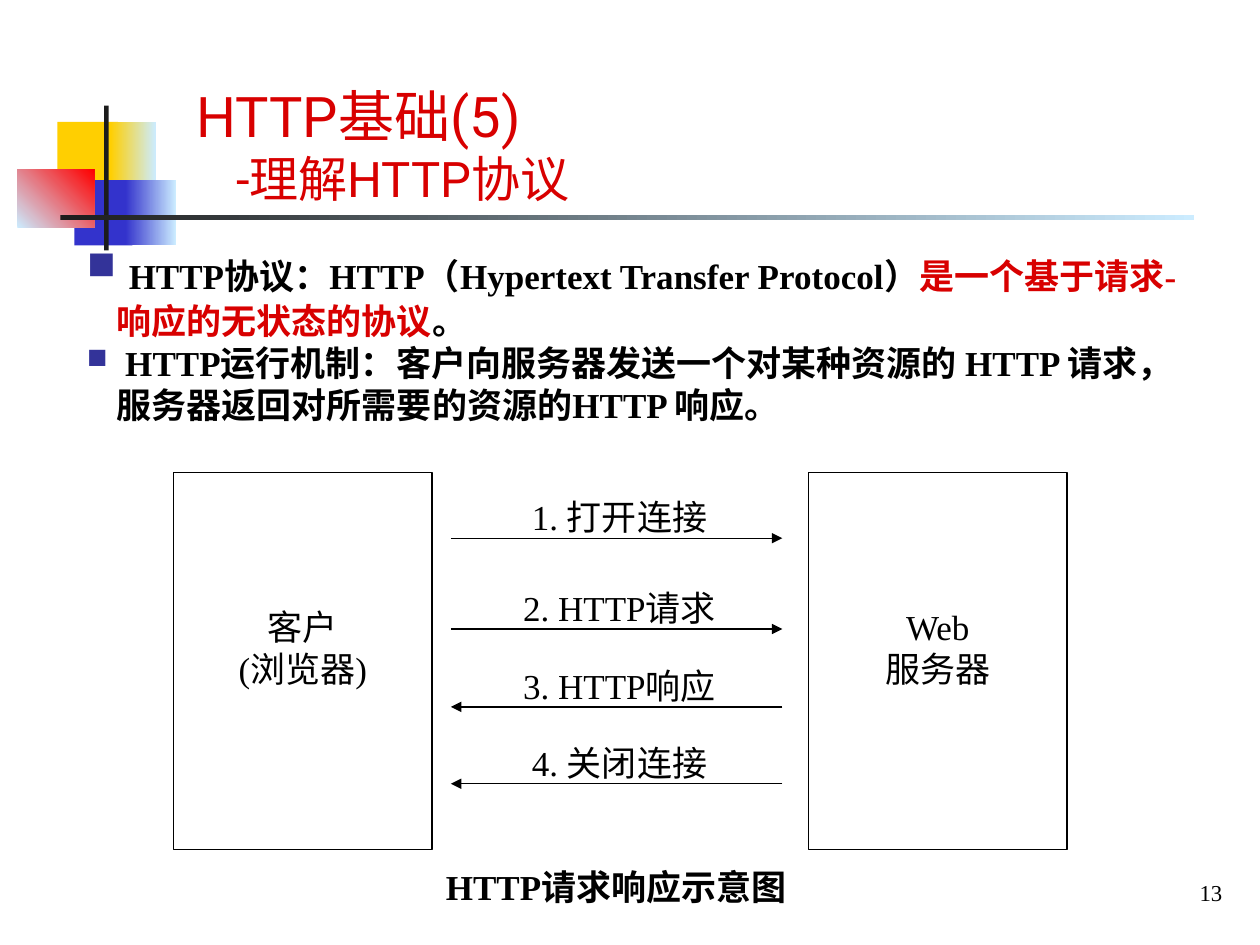
from lxml.etree import SubElement
from pptx import Presentation
from pptx.dml.color import RGBColor
from pptx.enum.shapes import MSO_CONNECTOR, MSO_SHAPE
from pptx.enum.text import MSO_ANCHOR, PP_ALIGN
from pptx.oxml.ns import qn
from pptx.util import Cm, Pt

BLACK = RGBColor(0x00, 0x00, 0x00)
WHITE = RGBColor(0xFF, 0xFF, 0xFF)
RED = RGBColor(0xD8, 0x00, 0x00)
YELLOW = RGBColor(0xFF, 0xCF, 0x01)
BLUE = RGBColor(0x33, 0x33, 0xCC)
BRIGHT_RED = RGBColor(0xFF, 0x00, 0x00)
PALE = RGBColor(0xCC, 0xEC, 0xFF)
CHARCOAL = RGBColor(0x1C, 0x1C, 0x1C)
BULLET = RGBColor(0x33, 0x33, 0x99)
SERIF = dict(name="Times New Roman", size=Pt(20))
BOLD = dict(SERIF, bold=True)


def add_run(p, text, color=BLACK, **fmt):
    """Append a run with the given colour and font values."""
    r = p.add_run()
    r.text = text
    r.font.color.rgb = color
    for key, value in fmt.items():
        setattr(r.font, key, value)


def set_frame(tf, **fmt):
    """Set wrapping, insets and anchor of a text frame."""
    values = dict(word_wrap=True, margin_left=Cm(0.25), margin_right=Cm(0.25),
                  margin_top=Cm(0.13), margin_bottom=Cm(0.13),
                  vertical_anchor=MSO_ANCHOR.TOP)
    for key, value in (values | fmt).items():
        setattr(tf, key, value)


def add_label(s, x, y, w, h, text, align=PP_ALIGN.CENTER, frame=None, **font):
    """Add a one-paragraph text box."""
    tf = s.shapes.add_textbox(Cm(x), Cm(y), Cm(w), Cm(h)).text_frame
    set_frame(tf, **(frame or {}))
    p = tf.paragraphs[0]
    p.alignment = align
    add_run(p, text, **(SERIF | font))


def add_rect(s, x, y, w, h, colors, angle=0):
    """Add a borderless rectangle with a solid or two-colour fill."""
    sp = s.shapes.add_shape(MSO_SHAPE.RECTANGLE, Cm(x), Cm(y), Cm(w), Cm(h))
    sp.shadow.inherit = False
    sp.line.fill.background()
    if len(colors) == 1:
        sp.fill.solid()
        sp.fill.fore_color.rgb = colors[0]
    else:
        sp.fill.gradient()
        sp.fill.gradient_angle = angle
        for stop, color in zip(sp.fill.gradient_stops, colors):
            stop.color.rgb = color
    return sp


def add_ornament(s, x, y):
    """Draw the coloured squares and crossing bars."""
    for dx, dy, w, h, colors, angle in (
        (0.81, 0.33, 1.22, 1.32, [YELLOW], 0),
        (1.88, 0.33, 0.91, 1.32, [YELLOW, PALE], 0),
        (1.15, 1.5, 1.17, 1.32, [BLUE], 0),
        (2.18, 1.5, 1.02, 1.32, [BLUE, PALE], 0),
        (0, 1.29, 1.55, 1.17, [PALE, BRIGHT_RED], 45),
        (1.75, 0, 0.09, 2.92, [CHARCOAL], 0),
        (0.87, 2.21, 22.86, 0.09, [CHARCOAL, PALE], 0),
    ):
        add_rect(s, x + dx, y + dy, w, h, colors, angle)


def add_title(s, x, y, w, h):
    """Write the heading and its indented second line."""
    tf = s.shapes.add_textbox(Cm(x), Cm(y), Cm(w), Cm(h)).text_frame
    set_frame(tf, vertical_anchor=MSO_ANCHOR.BOTTOM)
    add_run(tf.paragraphs[0], "HTTP基础(5)", RED, name="Roboto", size=Pt(32))
    p = tf.add_paragraph()
    p._p.get_or_add_pPr().set("marL", str(Cm(0.8)))
    add_run(p, "-理解HTTP协议", RED, name="Roboto", size=Pt(28))


def add_bullet(p):
    """Give a paragraph a square bullet with a hanging indent."""
    pPr = p._p.get_or_add_pPr()
    pPr.set("marL", str(Cm(0.6)))
    pPr.set("indent", str(-Cm(0.6)))
    SubElement(SubElement(pPr, qn("a:buClr")), qn("a:srgbClr"), val=str(BULLET))
    SubElement(pPr, qn("a:buSzPct"), val="80000")
    SubElement(pPr, qn("a:buChar"), char="■")


def add_body(s, x, y, w, h):
    """Write the two bulleted statements."""
    tf = s.shapes.add_textbox(Cm(x), Cm(y), Cm(w), Cm(h)).text_frame
    set_frame(tf)
    p = tf.paragraphs[0]
    add_bullet(p)
    add_run(p, " ", **(BOLD | dict(size=Pt(28))))
    add_run(p, "HTTP协议：HTTP（Hypertext Transfer Protocol）", **BOLD)
    add_run(p, "是一个基于请求-响应的无状态的协议", RED, **BOLD)
    add_run(p, "。", **BOLD)
    p = tf.add_paragraph()
    add_bullet(p)
    add_run(p, " HTTP运行机制：客户向服务器发送一个对某种资源的 HTTP 请求，"
               "服务器返回对所需要的资源的HTTP 响应。", **BOLD)


def add_party(s, x, y, w, h, lines):
    """Draw one outlined box with its name lines."""
    sp = add_rect(s, x, y, w, h, [WHITE])
    sp.line.color.rgb = BLACK
    sp.line.width = Pt(0.75)
    tf = sp.text_frame
    set_frame(tf, margin_top=Cm(2.67))
    for i, line in enumerate(lines):
        p = tf.add_paragraph() if i else tf.paragraphs[0]
        p.alignment = PP_ALIGN.CENTER
        add_run(p, line, **SERIF)


def add_arrow(s, x1, x2, y):
    """Draw a horizontal arrow from x1 to x2."""
    c = s.shapes.add_connector(MSO_CONNECTOR.STRAIGHT, Cm(x1), Cm(y), Cm(x2), Cm(y))
    c.line.color.rgb = BLACK
    c.line.width = Pt(0.75)
    SubElement(c.line._get_or_add_ln(), qn("a:tailEnd"), type="triangle")
    SubElement(c._element.spPr, qn("a:effectLst"))


def add_exchange(s, x, y, w, h):
    """Draw client, server and the four messages between them."""
    party_w = 5.21
    add_party(s, x, y, party_w, h, ("客户", "(浏览器)"))
    add_party(s, x + w - party_w, y, party_w, h, ("Web", "服务器"))
    left, right = x + 5.59, x + 12.27
    no_insets = dict(margin_left=0, margin_right=0, margin_top=0, margin_bottom=0)
    for text, dy, to_server in (("1. 打开连接", 1.32, True), ("2. HTTP请求", 3.15, True),
                                ("3. HTTP响应", 4.72, False), ("4. 关闭连接", 6.27, False)):
        add_arrow(s, *((left, right) if to_server else (right, left)), y + dy)
        add_label(s, x + 6.4, y + dy - 0.86, 5.18, 1, text, frame=no_insets)


def main():
    """Build and save the slide."""
    prs = Presentation()
    prs.slide_width, prs.slide_height = Cm(25.4), Cm(19.05)
    s = prs.slides.add_slide(prs.slide_layouts[6])
    add_ornament(s, 0.35, 2.13)
    add_title(s, 3.71, 1.32, 18.59, 3)
    add_body(s, 1.5, 4.72, 23.01, 3.99)
    add_exchange(s, 3.5, 9.53, 18.01, 7.59)
    add_label(s, 8.64, 17.32, 7.57, 1.09, "HTTP请求响应示意图",
              frame=dict(word_wrap=False), bold=True)
    add_label(s, 20.04, 17.53, 4.85, 0.94, "13", PP_ALIGN.RIGHT,
              dict(vertical_anchor=MSO_ANCHOR.MIDDLE), size=Pt(13))
    prs.save("out.pptx")


if __name__ == "__main__":
    main()
